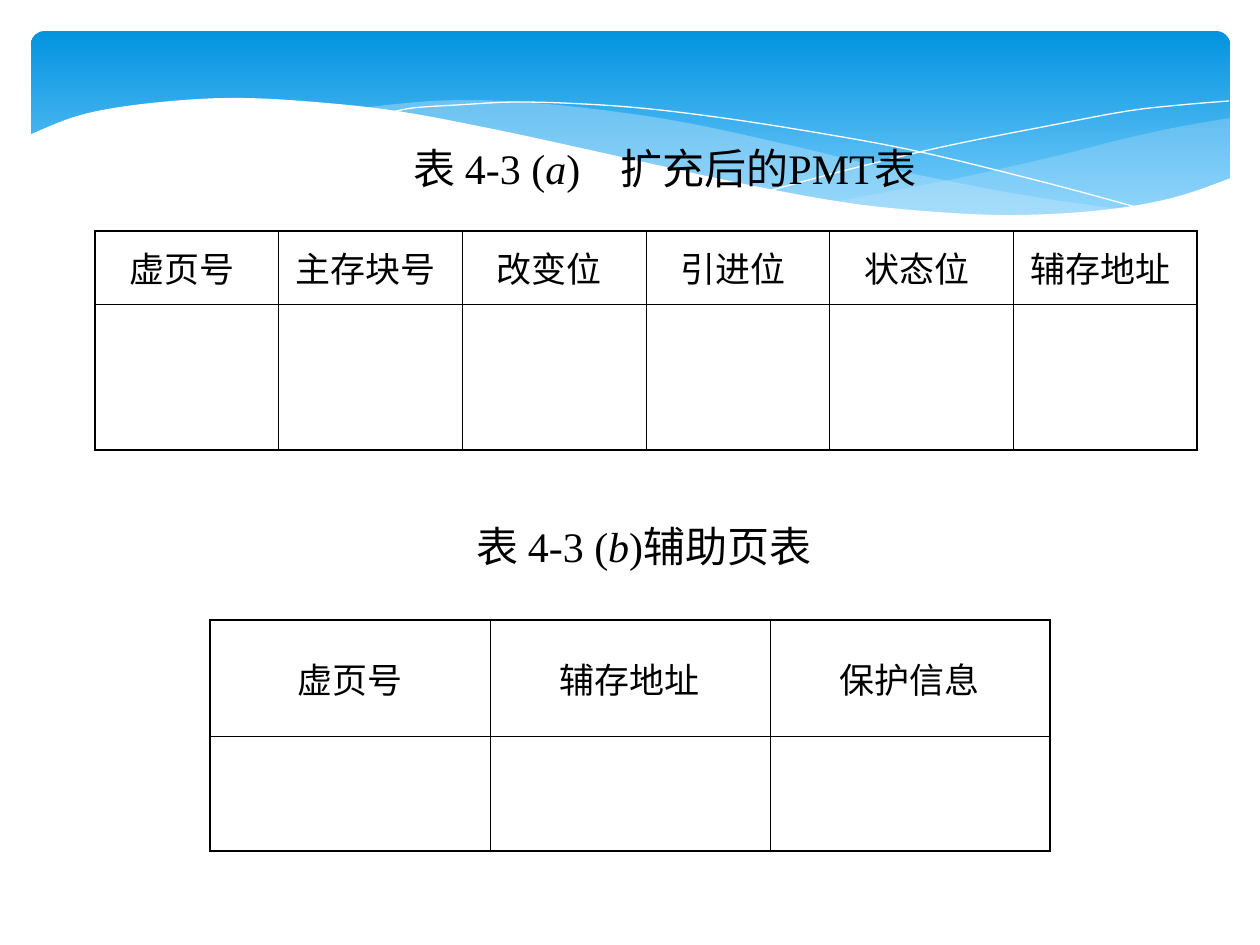
from lxml import etree
from pptx import Presentation
from pptx.dml.color import RGBColor
from pptx.enum.shapes import MSO_SHAPE
from pptx.enum.text import MSO_ANCHOR, PP_ALIGN
from pptx.oxml.ns import qn
from pptx.util import Pt

ROUNDED = MSO_SHAPE.ROUNDED_RECTANGLE
MIDDLE = MSO_ANCHOR.MIDDLE
CENTER = PP_ALIGN.CENTER
BLANK_LAYOUT = 6
SCALE = 914400 / 126
FONT = "Times New Roman"
COLORS = {
    "sky": "0293E0",
    "horizon": "83D3FE",
    "wave": "C6E7FC",
    "white": "FFFFFF",
    "black": "000000",
}
OUTER, INNER = 1.08, 0.45

RIGHT_WAVE = [
    [(1230, 118), (1178, 127), (1123, 139), (1048, 158), (949, 180), (833, 202)],
    [(833, 202), (905, 210), (969, 215), (1038, 217), (1099, 213), (1160, 202),
     (1230, 178)],
]
MIDDLE_WAVE = [
    [(1125, 210), (1017, 194), (890, 169), (793, 146), (682, 122), (585, 108),
     (503, 101), (433, 101), (360, 108)],
    [(360, 108), (431, 118), (509, 134), (619, 159), (713, 180), (819, 199),
     (910, 212), (989, 217), (1043, 218), (1092, 214), (1125, 210)],
]
FALLING_LINE = [
    [(389, 113), (413, 108), (457, 105), (524, 102), (616, 106), (701, 115),
     (801, 130), (916, 151), (1047, 183), (1143, 209)],
]
RISING_LINE = [
    [(772, 190), (847, 170), (942, 147), (1053, 125), (1128, 111), (1181, 105),
     (1229, 101)],
]
WHITE_WAVE = [
    [(1231, 178), (1172, 198), (1103, 210), (1019, 215), (937, 212), (842, 202),
     (730, 181), (599, 152), (493, 129), (397, 111), (315, 102), (243, 98),
     (184, 100), (120, 107), (74, 117), (29, 135)],
    [(29, 282), (1231, 282)],
]


def px(value):
    return round(value * SCALE)


def color(name):
    return RGBColor.from_string(COLORS[name])


def smooth(points, steps=6):
    if len(points) < 3:
        return points
    padded = [points[0], *points, points[-1]]
    curve = [points[0]]
    for a, b, c, d in zip(padded, padded[1:], padded[2:], padded[3:]):
        for step in range(1, steps + 1):
            t = step / steps
            curve.append(tuple(
                b[i] + 0.5 * t * (c[i] - a[i]
                + t * (2 * a[i] - 5 * b[i] + 4 * c[i] - d[i]
                + t * (3 * b[i] - a[i] - 3 * c[i] + d[i])))
                for i in (0, 1)))
    return curve


def add_curve(page, edges, fill=None, opacity=100):
    points = [(px(x), px(y)) for edge in edges for x, y in smooth(edge)]
    builder = page.shapes.build_freeform(*points[0], scale=1.0)
    builder.add_line_segments(points[1:], close=fill is not None)
    shape = builder.convert_to_shape()
    shape.shadow.inherit = False
    if fill is None:
        shape.fill.background()
        shape.line.color.rgb = color("white")
        shape.line.width = 0
        return
    shape.line.fill.background()
    shape.fill.solid()
    shape.fill.fore_color.rgb = color(fill)
    if opacity < 100:
        tint = shape._element.spPr.find(qn("a:solidFill")).find(qn("a:srgbClr"))
        etree.SubElement(tint, qn("a:alpha"), val=str(opacity * 1000))


def add_banner(page, left, top, width, height):
    banner = page.shapes.add_shape(ROUNDED, px(left), px(top), px(width), px(height))
    banner.adjustments[0] = 0.07
    banner.shadow.inherit = False
    banner.line.fill.background()
    banner.fill.gradient()
    banner.fill.gradient_angle = 270
    for stop, name in zip(banner.fill.gradient_stops, ("sky", "horizon")):
        stop.color.rgb = color(name)


def write_text(para, text, size=20, italic=False):
    span = para.add_run()
    span.text = text
    span.font.name = FONT
    span.font.size = Pt(size)
    span.font.italic = italic
    span.font.color.rgb = color("black")


def add_caption(page, left, top, width, letter, ending, tab=None):
    box = page.shapes.add_textbox(px(left), px(top), px(width), px(63))
    box.text_frame.word_wrap = True
    para = box.text_frame.paragraphs[0]
    if tab:
        tabs = etree.SubElement(para._p.get_or_add_pPr(), qn("a:tabLst"))
        etree.SubElement(tabs, qn("a:tab"), pos=str(px(tab)), algn="l")
    write_text(para, "表 4-3 (", size=24)
    write_text(para, letter, size=24, italic=True)
    write_text(para, ending, size=24)


def set_borders(cell, widths):
    properties = cell._tc.get_or_add_tcPr()
    for index, (side, width) in enumerate(widths.items()):
        border = etree.Element(qn(f"a:ln{side}"), w=str(Pt(width)))
        fill = etree.SubElement(border, qn("a:solidFill"))
        etree.SubElement(fill, qn("a:srgbClr"), val=COLORS["black"])
        properties.insert(index, border)


def add_grid(page, left, top, width, heights, headings, right_inset=13):
    frame = page.shapes.add_table(len(heights), len(headings), px(left), px(top),
                                  px(width), px(sum(heights)))
    table = frame.table
    table.first_row = False
    table.horz_banding = False
    last_row, last_column = len(heights) - 1, len(headings) - 1
    for row, height in zip(table.rows, heights):
        row.height = px(height)
    for r in range(len(heights)):
        for c, heading in enumerate(headings):
            cell = table.cell(r, c)
            cell.fill.background()
            set_borders(cell, {
                "L": OUTER if c == 0 else INNER,
                "R": OUTER if c == last_column else INNER,
                "T": OUTER if r == 0 else INNER,
                "B": OUTER if r == last_row else INNER,
            })
            if r == 0:
                cell.vertical_anchor = MIDDLE
                cell.margin_right = px(right_inset)
                para = cell.text_frame.paragraphs[0]
                para.alignment = CENTER
                write_text(para, heading)


def main():
    deck = Presentation()
    deck.slide_width, deck.slide_height = px(1260), px(945)
    page = deck.slides.add_slide(deck.slide_layouts[BLANK_LAYOUT])
    add_banner(page, 31, 31, 1199, 197)
    add_curve(page, RIGHT_WAVE, fill="wave", opacity=29)
    add_curve(page, MIDDLE_WAVE, fill="wave", opacity=40)
    add_curve(page, FALLING_LINE)
    add_curve(page, RISING_LINE)
    add_curve(page, WHITE_WAVE, fill="white")
    add_caption(page, 401, 136, 558, "a", ")\t扩充后的PMT表", tab=207)
    add_grid(page, 95, 231, 1102, (73, 146),
             ("虚页号", "主存块号", "改变位", "引进位", "状态位", "辅存地址"),
             right_inset=22)
    add_caption(page, 464, 514, 389, "b", ")辅助页表")
    add_grid(page, 210, 620, 840, (116, 115), ("虚页号", "辅存地址", "保护信息"))
    deck.save("out.pptx")


if __name__ == "__main__":
    main()
